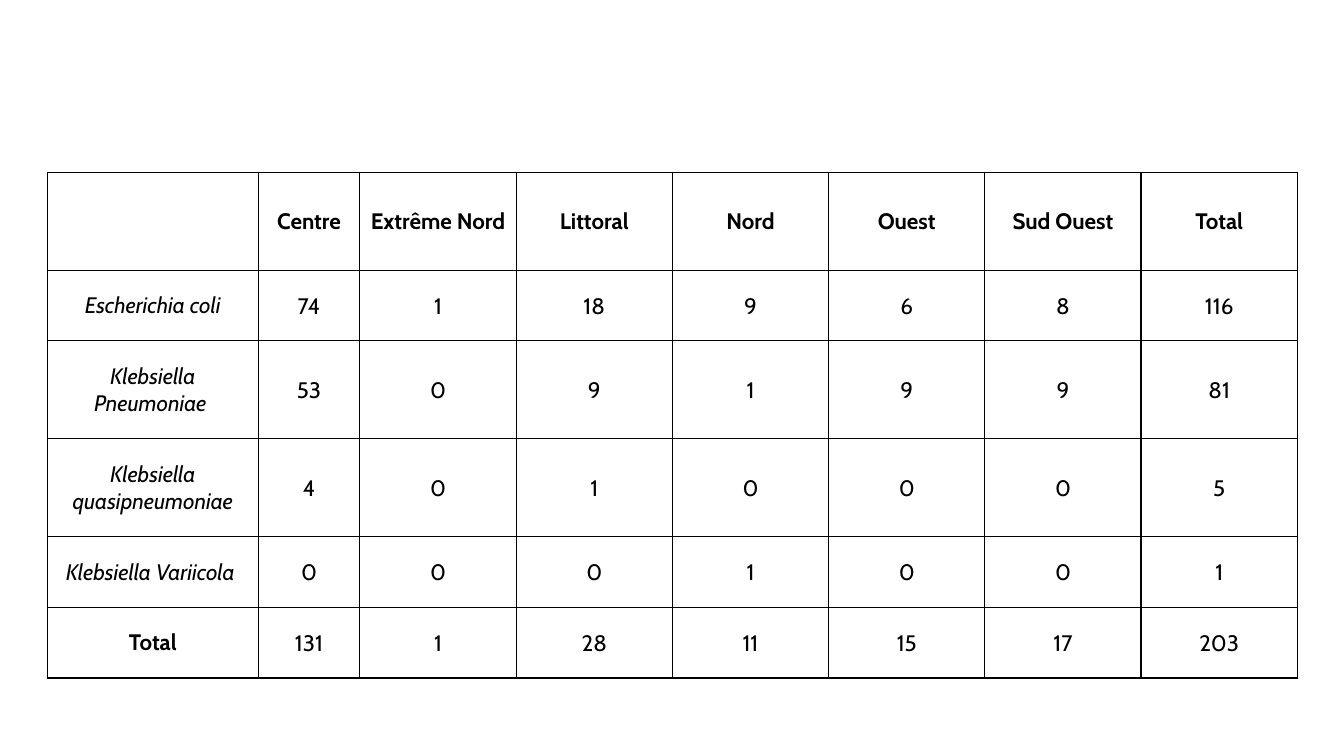
from lxml import etree
from pptx import Presentation
from pptx.dml.color import RGBColor
from pptx.enum import text
from pptx.oxml import ns
from pptx.util import Pt

FONT = "Cabin"
COLORS = {"ink": "000000", "line": "000000"}
HEAD = ["", "Centre", "Extrême Nord", "Littoral", "Nord", "Ouest", "Sud Ouest", "Total"]
COUNTS = {
    "Escherichia coli": [74, 1, 18, 9, 6, 8, 116],
    "Klebsiella Pneumoniae ": [53, 0, 9, 1, 9, 9, 81],
    "Klebsiella quasipneumoniae": [4, 0, 1, 0, 0, 0, 5],
    "Klebsiella Variicola ": [0, 0, 0, 1, 0, 0, 1],
    "Total": [131, 1, 28, 11, 15, 17, 203],
}
WIDTHS = [150.5, 72.7] + [111.6] * 6
TALL, LOW = 70, 50.4
HEIGHTS = [TALL, LOW, TALL, TALL, LOW, LOW]


def add_borders(cell):
    props = cell._tc.get_or_add_tcPr()
    for spot, side in enumerate(("lnL", "lnR", "lnT", "lnB")):
        line = etree.Element(ns.qn(f"a:{side}"), w=str(Pt(1)))
        fill = etree.SubElement(line, ns.qn("a:solidFill"))
        etree.SubElement(fill, ns.qn("a:srgbClr"), val=COLORS["line"])
        props.insert(spot, line)


def fill_cell(cell, words, bold=False, italic=False, tight=False):
    cell.fill.background()
    cell.vertical_anchor = text.MSO_ANCHOR.MIDDLE
    if tight:
        cell.margin_left = cell.margin_right = cell.margin_top = Pt(0.75)
        cell.margin_bottom = 0
    para = cell.text_frame.paragraphs[0]
    para.alignment = text.PP_ALIGN.CENTER
    if words:
        run = para.add_run()
        run.text = words
        font = run.font
        font.name, font.size = FONT, Pt(16)
        font.bold, font.italic = bold, italic
        font.color.rgb = RGBColor.from_string(COLORS["ink"])
    add_borders(cell)


def add_grid(slide):
    frame = slide.shapes.add_table(
        len(HEIGHTS), len(WIDTHS), Pt(33.9), Pt(123.1),
        Pt(sum(WIDTHS)), Pt(sum(HEIGHTS)))
    table = frame.table
    table.first_row = table.horz_banding = False
    for column, width in zip(table.columns, WIDTHS):
        column.width = Pt(width)
    for row, height in zip(table.rows, HEIGHTS):
        row.height = Pt(height)
    return table


def main():
    deck = Presentation()
    deck.slide_width, deck.slide_height = Pt(960), Pt(540)
    slide = deck.slides.add_slide(deck.slide_layouts[6])
    table = add_grid(slide)
    for col, label in enumerate(HEAD):
        fill_cell(table.cell(0, col), label, bold=True)
    for row, (label, counts) in enumerate(COUNTS.items(), 1):
        total = label == "Total"
        fill_cell(table.cell(row, 0), label, bold=total, italic=not total)
        for col, count in enumerate(counts, 1):
            fill_cell(table.cell(row, col), str(count), tight=True)
    deck.save("out.pptx")


if __name__ == "__main__":
    main()
